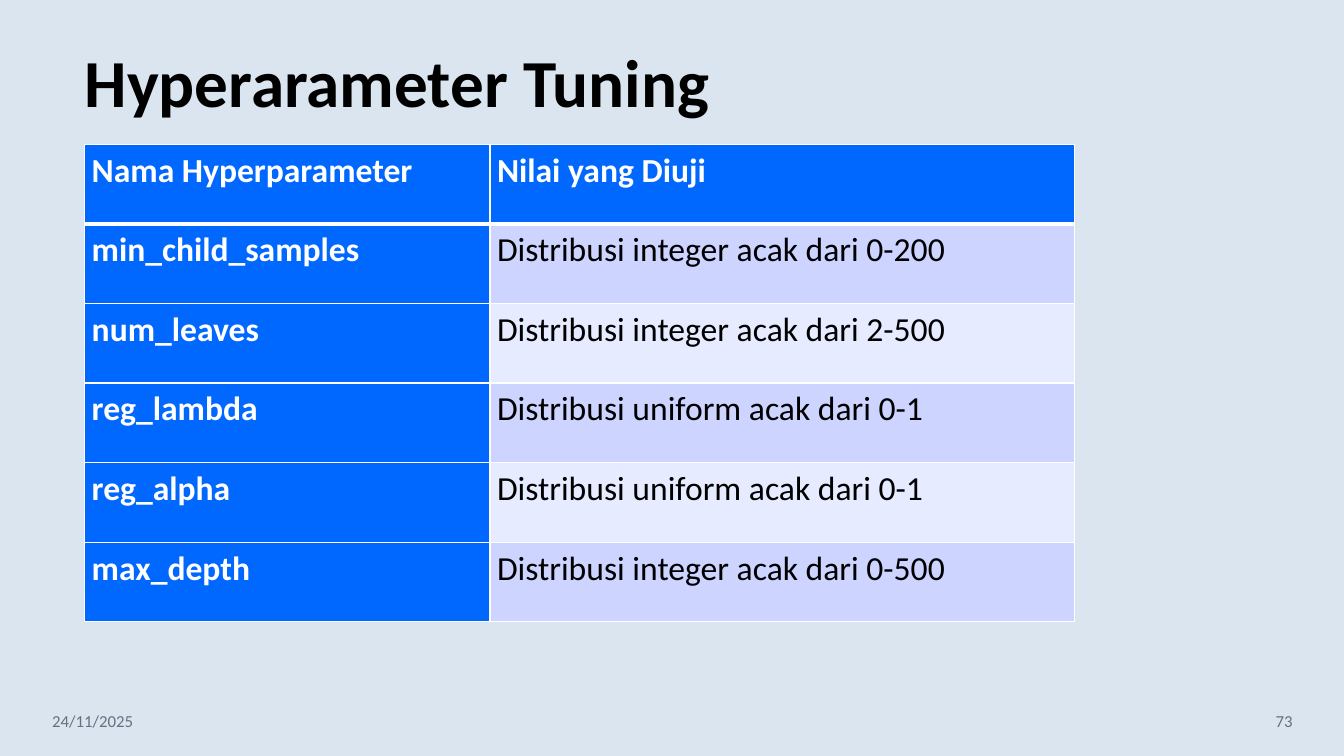
"""Build the hyperparameter tuning slide with its table of tested values."""
from dataclasses import dataclass

from lxml import etree
from pptx import Presentation
from pptx.dml.color import RGBColor
from pptx.enum.text import MSO_ANCHOR, MSO_AUTO_SIZE, PP_ALIGN
from pptx.oxml.ns import qn
from pptx.util import Inches, Pt

LEFT, RIGHT = PP_ALIGN.LEFT, PP_ALIGN.RIGHT
MIDDLE, BOTTOM = MSO_ANCHOR.MIDDLE, MSO_ANCHOR.BOTTOM
NO_FIT = MSO_AUTO_SIZE.NONE

FONT = "Calibri"
BACK = RGBColor(0xDA, 0xE5, 0xEF)
BLACK = RGBColor(0x00, 0x00, 0x00)
WHITE = RGBColor(0xFF, 0xFF, 0xFF)
GRAY = RGBColor(0x63, 0x71, 0x83)
BLUE = RGBColor(0x00, 0x68, 0xFF)
BANDS = (RGBColor(0xCC, 0xD4, 0xFF), RGBColor(0xE7, 0xEB, 0xFF))

EDGE = 0.84
COLS = (4.02, 5.8)
ROW = 0.79


@dataclass
class Param:
    name: str
    value: str


@dataclass
class Footer:
    text: str
    left: float
    align: PP_ALIGN


PARAMS = (
    Param("Nama Hyperparameter", "Nilai yang Diuji"),
    Param("min_child_samples", "Distribusi integer acak dari 0-200"),
    Param("num_leaves", "Distribusi integer acak dari 2-500"),
    Param("reg_lambda", "Distribusi uniform acak dari 0-1"),
    Param("reg_alpha", "Distribusi uniform acak dari 0-1"),
    Param("max_depth", "Distribusi integer acak dari 0-500"),
)
FOOTERS = (Footer("24/11/2025", 0.42, LEFT), Footer("73", 9.92, RIGHT))


def style(para, size: float, color: RGBColor, bold: bool = False) -> None:
    """Format every run of a paragraph."""
    for run in para.runs:
        font = run.font
        font.name, font.size, font.bold = FONT, Pt(size), bold
        font.color.rgb = color


def add_title(slide, text: str) -> None:
    """Place and format the title."""
    title = slide.shapes.title
    title.left, title.top = Inches(EDGE), Inches(0.38)
    title.width, title.height = Inches(11.68), Inches(0.88)
    frame = title.text_frame
    frame.text = text
    frame.auto_size = NO_FIT
    frame.vertical_anchor = BOTTOM
    frame.margin_left = 0
    para = frame.paragraphs[0]
    para.alignment, para.line_spacing = LEFT, 0.9
    style(para, 48, BLACK, True)


def add_footer(slide, item: Footer) -> None:
    """Add one small footer text."""
    box = slide.shapes.add_textbox(
        Inches(item.left), Inches(6.95), Inches(3), Inches(0.4))
    frame = box.text_frame
    frame.word_wrap = True
    frame.vertical_anchor = MIDDLE
    frame.text = item.text
    para = frame.paragraphs[0]
    para.alignment = item.align
    style(para, 12, GRAY)


def add_border(cell, side: str, width: float) -> None:
    """Draw a white line on one side of a cell."""
    props = cell._tc.get_or_add_tcPr()
    line = etree.SubElement(props, qn(f"a:ln{side}"), w=str(Pt(width)))
    fill = etree.SubElement(line, qn("a:solidFill"))
    etree.SubElement(fill, qn("a:srgbClr"), val=str(WHITE))


def fill_cell(cell, text: str, row: int, col: int) -> None:
    """Write and format one table cell."""
    head = row == 0 or col == 0
    widths = {"L": 1, "R": 1, "T": 3 if row == 1 else 1, "B": 3 if row == 0 else 1}
    for side, width in widths.items():
        add_border(cell, side, width)
    cell.fill.solid()
    cell.fill.fore_color.rgb = BLUE if head else BANDS[(row - 1) % 2]
    cell.margin_left = cell.margin_right = Inches(0.07)
    cell.margin_top = cell.margin_bottom = 0
    cell.text_frame.text = text
    para = cell.text_frame.paragraphs[0]
    para.line_spacing = 1.15
    style(para, 24, WHITE if head else BLACK, head)


def add_grid(slide) -> None:
    """Add the table of hyperparameters."""
    count = len(PARAMS)
    table = slide.shapes.add_table(
        count, len(COLS), Inches(EDGE), Inches(1.43),
        Inches(sum(COLS)), Inches(ROW * count)).table
    table.first_col = True
    for col, width in enumerate(COLS):
        table.columns[col].width = Inches(width)
    for row, param in enumerate(PARAMS):
        table.rows[row].height = Inches(ROW)
        for col, text in enumerate((param.name, param.value)):
            fill_cell(table.cell(row, col), text, row, col)


def main() -> None:
    """Build and save the slide."""
    deck = Presentation()
    deck.slide_width, deck.slide_height = Inches(13.33), Inches(7.5)
    slide = deck.slides.add_slide(deck.slide_layouts[5])
    slide.background.fill.solid()
    slide.background.fill.fore_color.rgb = BACK
    add_title(slide, "Hyperarameter Tuning")
    for item in FOOTERS:
        add_footer(slide, item)
    add_grid(slide)
    deck.save("out.pptx")


if __name__ == "__main__":
    main()
